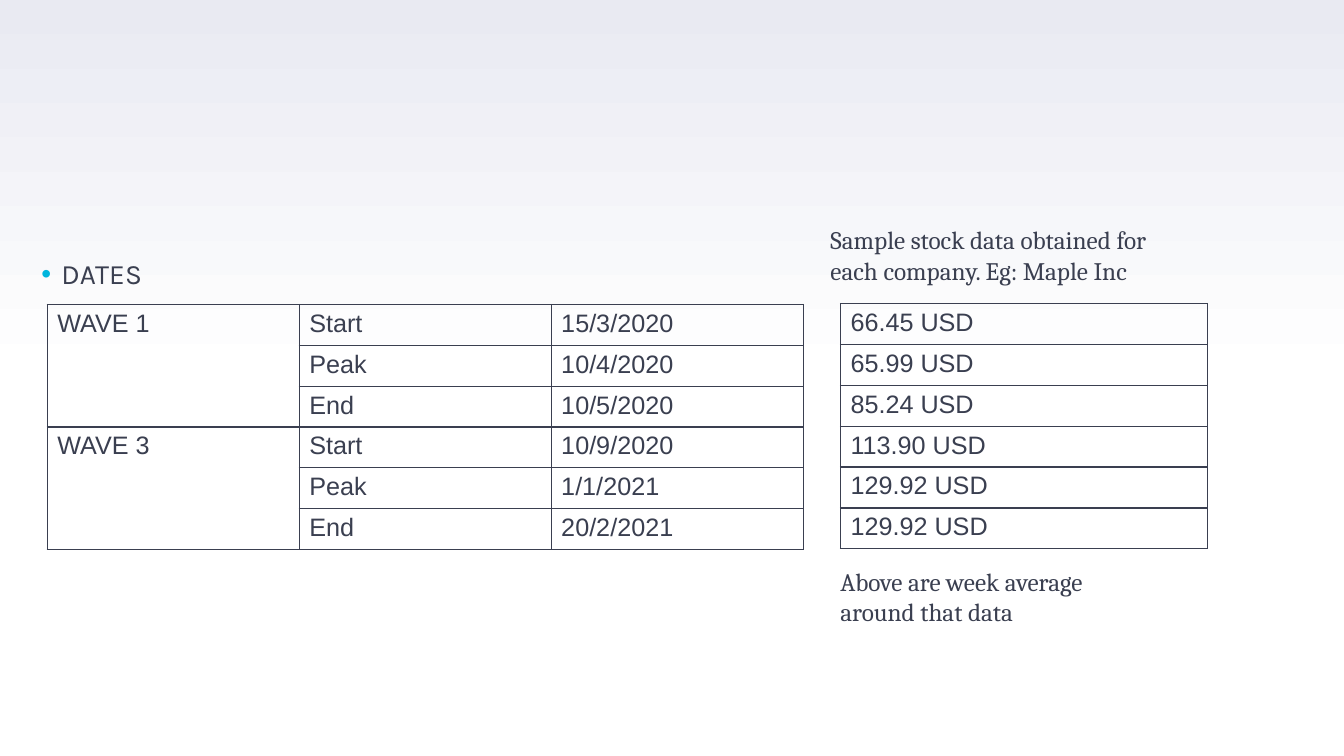
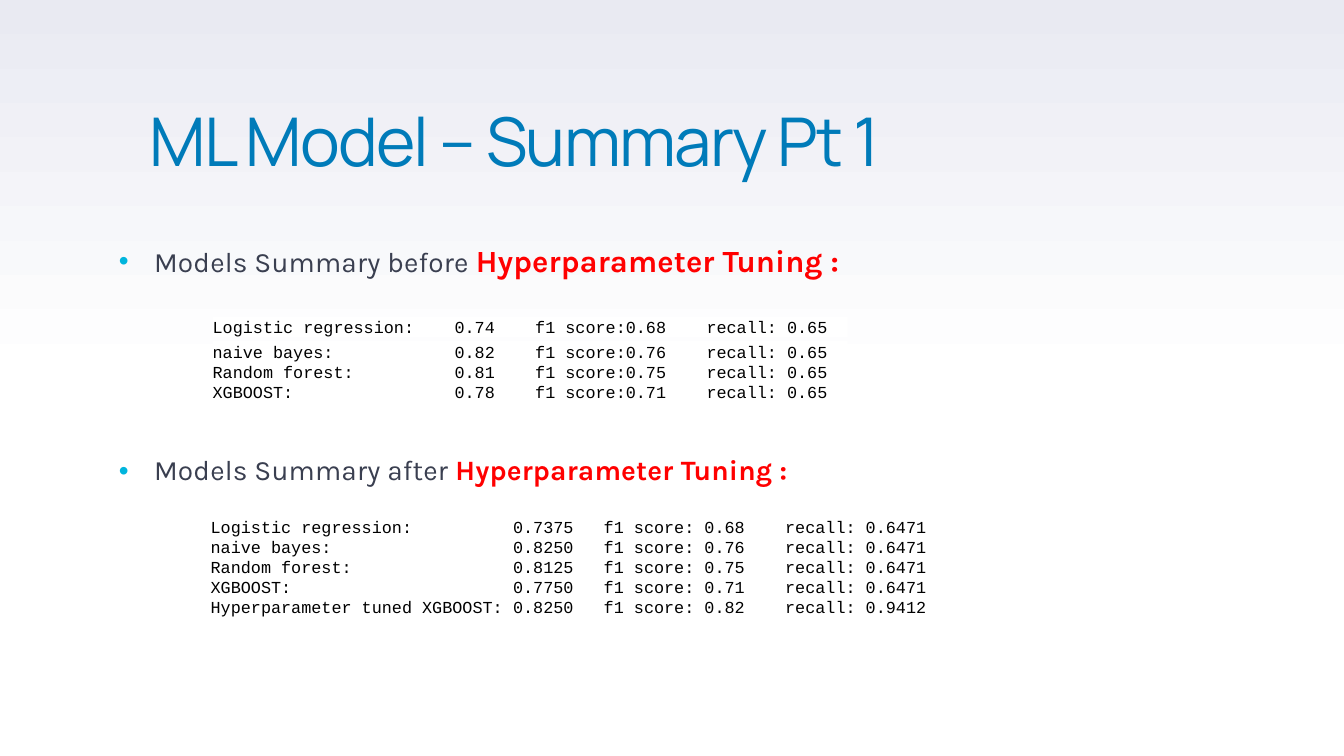
from pptx import Presentation
from pptx.dml.color import RGBColor
from pptx.enum.shapes import MSO_SHAPE
from pptx.enum.text import MSO_ANCHOR, MSO_AUTO_SIZE, PP_ALIGN
from pptx.oxml.ns import qn
from pptx.util import Cm, Pt
from lxml.etree import SubElement

# Shared look
INK = RGBColor(0x3A, 0x3F, 0x50)
BLUE = RGBColor(0x00, 0x7B, 0xB9)
CYAN = RGBColor(0x00, 0xB5, 0xDD)
RED = RGBColor(0xFF, 0x00, 0x00)
BLACK = RGBColor(0x00, 0x00, 0x00)
WHITE = RGBColor(0xFF, 0xFF, 0xFF)
LAVENDER = RGBColor(0xE9, 0xEA, 0xF2)
TITLE_FONT, BODY_FONT = "Manrope", "Karla"
NOTE_FONT, TABLE_FONT, CODE_FONT = "Cambria", "Arial", "Courier New"
CHAR_WIDTH = Pt(7.2)  # one character of the 12 pt code font
ROW_HEIGHT = Cm(1.03)

# Content
WAVES = [
    ("WAVE 1", "Start", "15/3/2020"),
    ("", "Peak", "10/4/2020"),
    ("", "End", "10/5/2020"),
    ("WAVE 3", "Start", "10/9/2020"),
    ("", "Peak", "1/1/2021"),
    ("", "End", "20/2/2021"),
]
PRICES = ["66.45", "65.99", "85.24", "113.90", "129.92", "129.92"]
BEFORE_TUNING = [
    ("Logistic regression:", "0.74", "f1 score:0.68", "recall: 0.65"),
    ("naive bayes:", "0.82", "f1 score:0.76", "recall: 0.65"),
    ("Random forest:", "0.81", "f1 score:0.75", "recall: 0.65"),
    ("XGBOOST:", "0.78", "f1 score:0.71", "recall: 0.65"),
]
AFTER_TUNING = [
    ("Logistic regression:", "0.7375", "f1 score: 0.68", "recall: 0.6471"),
    ("naive bayes:", "0.8250", "f1 score: 0.76", "recall: 0.6471"),
    ("Random forest:", "0.8125", "f1 score: 0.75", "recall: 0.6471"),
    ("XGBOOST:", "0.7750", "f1 score: 0.71", "recall: 0.6471"),
    ("Hyperparameter tuned XGBOOST:", "0.8250", "f1 score: 0.82", "recall: 0.9412"),
]
BEFORE_STOPS = (24, 32, 49)
AFTER_STOPS = (30, 39, 57)


def set_background(master):
    fill = master.background.fill
    fill.gradient()
    fill.gradient_angle = 90
    for stop, position, color in zip(fill.gradient_stops, (0.5, 1), (WHITE, LAVENDER)):
        stop.position = position
        stop.color.rgb = color


def style_run(r, font, size, color, bold=False, spacing=0):
    r.font.name = font
    r.font.size = Pt(size)
    r.font.color.rgb = color
    r.font.bold = bold
    if spacing:
        r.font._element.set("spc", str(spacing))


def write_lines(tf, lines, font, size, color):
    tf.text = "\n".join(lines)
    for p in tf.paragraphs:
        p.alignment = PP_ALIGN.LEFT
        for r in p.runs:
            style_run(r, font, size, color)


def place(sp, left, top, width, height):
    sp.left, sp.top, sp.width, sp.height = left, top, width, height


def add_title(slide, text):
    sp = slide.shapes.title
    place(sp, Cm(3.51), Cm(1.02), Cm(26.92), Cm(3.68))
    tf = sp.text_frame
    tf.auto_size = MSO_AUTO_SIZE.NONE
    tf.vertical_anchor = MSO_ANCHOR.BOTTOM
    tf.text = text
    p = tf.paragraphs[0]
    p.alignment = PP_ALIGN.LEFT
    p.line_spacing = 0.9
    style_run(p.runs[0], TITLE_FONT, 48, BLUE, spacing=-120)


def add_bullets(slide, box, items, margin, hanging, gap=0):
    """Each item is a list of (text, size, color, bold) runs."""
    sp = slide.placeholders[1]
    place(sp, *box)
    tf = sp.text_frame
    tf.auto_size = MSO_AUTO_SIZE.NONE
    for i, runs in enumerate(items):
        p = tf.add_paragraph() if i else tf.paragraphs[0]
        p.line_spacing = 0.95
        p.space_before = Pt(gap if i else 0)
        for text, size, color, bold in runs:
            r = p.add_run()
            r.text = text
            style_run(r, BODY_FONT, size, color, bold, spacing=10)
        pPr = p._p.get_or_add_pPr()
        pPr.set("marL", str(margin))
        pPr.set("indent", str(-hanging))
        SubElement(SubElement(pPr, qn("a:buClr")), qn("a:srgbClr"), val=str(CYAN))
        SubElement(pPr, qn("a:buFont"), typeface="Arial")
        SubElement(pPr, qn("a:buChar"), char="•")


def add_note(slide, left, top, width, lines):
    tf = slide.shapes.add_textbox(left, top, width, Cm(1.8)).text_frame
    tf.word_wrap = True
    write_lines(tf, lines, NOTE_FONT, 18, INK)


def set_borders(cell):
    tcPr = cell._tc.get_or_add_tcPr()
    for i, side in enumerate(("a:lnL", "a:lnR", "a:lnT", "a:lnB")):
        ln = tcPr.makeelement(qn(side), {"w": str(Pt(1))})
        fill = SubElement(ln, qn("a:solidFill"))
        SubElement(fill, qn("a:srgbClr"), val=str(INK))
        tcPr.insert(i, ln)


def add_grid(slide, left, top, col_width, rows):
    n_cols = len(rows[0])
    table = slide.shapes.add_table(len(rows), n_cols, left, top,
                                   col_width * n_cols, ROW_HEIGHT * len(rows)).table
    table.first_row = table.horz_banding = False
    for i, values in enumerate(rows):
        for j, value in enumerate(values):
            cell = table.cell(i, j)
            write_lines(cell.text_frame, [value], TABLE_FONT, 18, INK)
            cell.fill.background()
            set_borders(cell)
    return table


def add_scores(slide, left, top, width, height, rows, stops):
    sp = slide.shapes.add_shape(MSO_SHAPE.RECTANGLE, left, top, width, height)
    sp.shadow.inherit = False
    sp.fill.solid()
    sp.fill.fore_color.rgb = WHITE
    sp.line.fill.background()
    tf = sp.text_frame
    tf.margin_left = tf.margin_right = tf.margin_top = tf.margin_bottom = 0
    tf.vertical_anchor = MSO_ANCHOR.MIDDLE
    write_lines(tf, ["\t".join(row) for row in rows], CODE_FONT, 12, BLACK)
    for p in tf.paragraphs:
        tabs = SubElement(p._p.get_or_add_pPr(), qn("a:tabLst"))
        for stop in stops:
            SubElement(tabs, qn("a:tab"), pos=str(stop * CHAR_WIDTH), algn="l")


def build_dates(slide):
    title = slide.shapes.title._element
    title.getparent().remove(title)
    add_bullets(slide, (Cm(0.79), Cm(6.4), Cm(23.88), Cm(12.09)),
                [[("DATES", 20, INK, False)]], Cm(0.5), Cm(0.5))
    table = add_grid(slide, Cm(1.19), Cm(7.67), Cm(6.35), WAVES)
    for first in (0, 3):
        table.cell(first, 0).merge(table.cell(first + 2, 0))
    add_note(slide, Cm(20.68), Cm(5.54), Cm(9.88),
             ["Sample stock data obtained for", "each company. Eg: Maple Inc"])
    add_grid(slide, Cm(21.18), Cm(7.65), Cm(9.25), [(f"{price} USD",) for price in PRICES])
    add_note(slide, Cm(20.93), Cm(14.15), Cm(7.82),
             ["Above are week average", "around that data"])


def build_summary(slide):
    add_title(slide, "ML Model – Summary Pt 1")
    items = [[(f"Models Summary {when} ", 20, INK, False),
              ("Hyperparameter Tuning :", size, RED, True)]
             for when, size in (("before", 22), ("after", 20))]
    add_bullets(slide, (Cm(2.36), Cm(6.02), Cm(29.57), Cm(12)),
                items, Cm(1.27), Cm(0.89), gap=126)
    add_scores(slide, Cm(5.36), Cm(7.98), Cm(16), Cm(0.51), BEFORE_TUNING[:1], BEFORE_STOPS)
    add_scores(slide, Cm(5.36), Cm(8.59), Cm(16), Cm(1.55), BEFORE_TUNING[1:], BEFORE_STOPS)
    add_scores(slide, Cm(5.31), Cm(13), Cm(25), Cm(2.57), AFTER_TUNING, AFTER_STOPS)


def main():
    prs = Presentation()
    prs.slide_width, prs.slide_height = Cm(33.87), Cm(19.05)
    set_background(prs.slide_master)
    for build in (build_dates, build_summary):
        build(prs.slides.add_slide(prs.slide_layouts[1]))
    prs.save("out.pptx")


if __name__ == "__main__":
    main()
